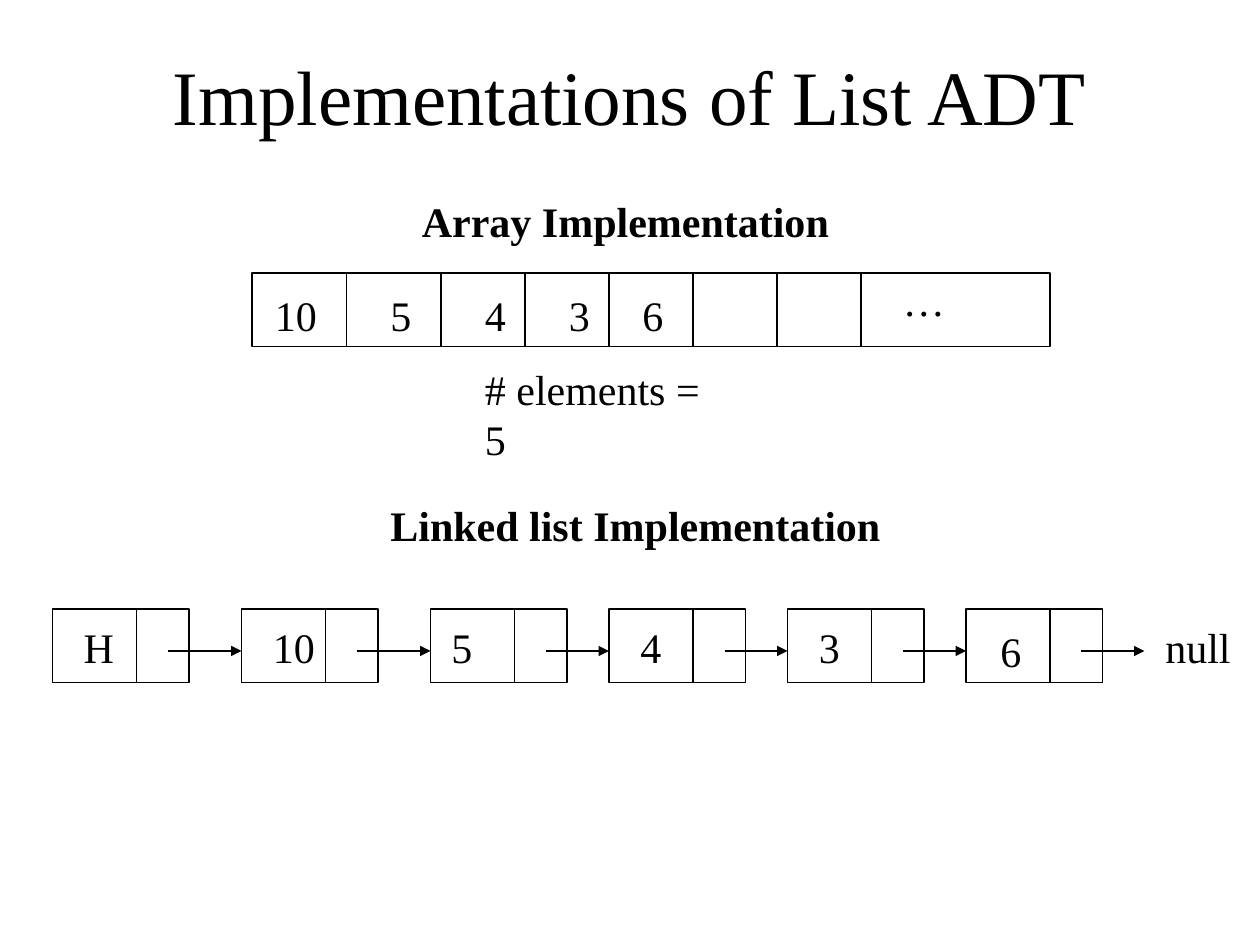
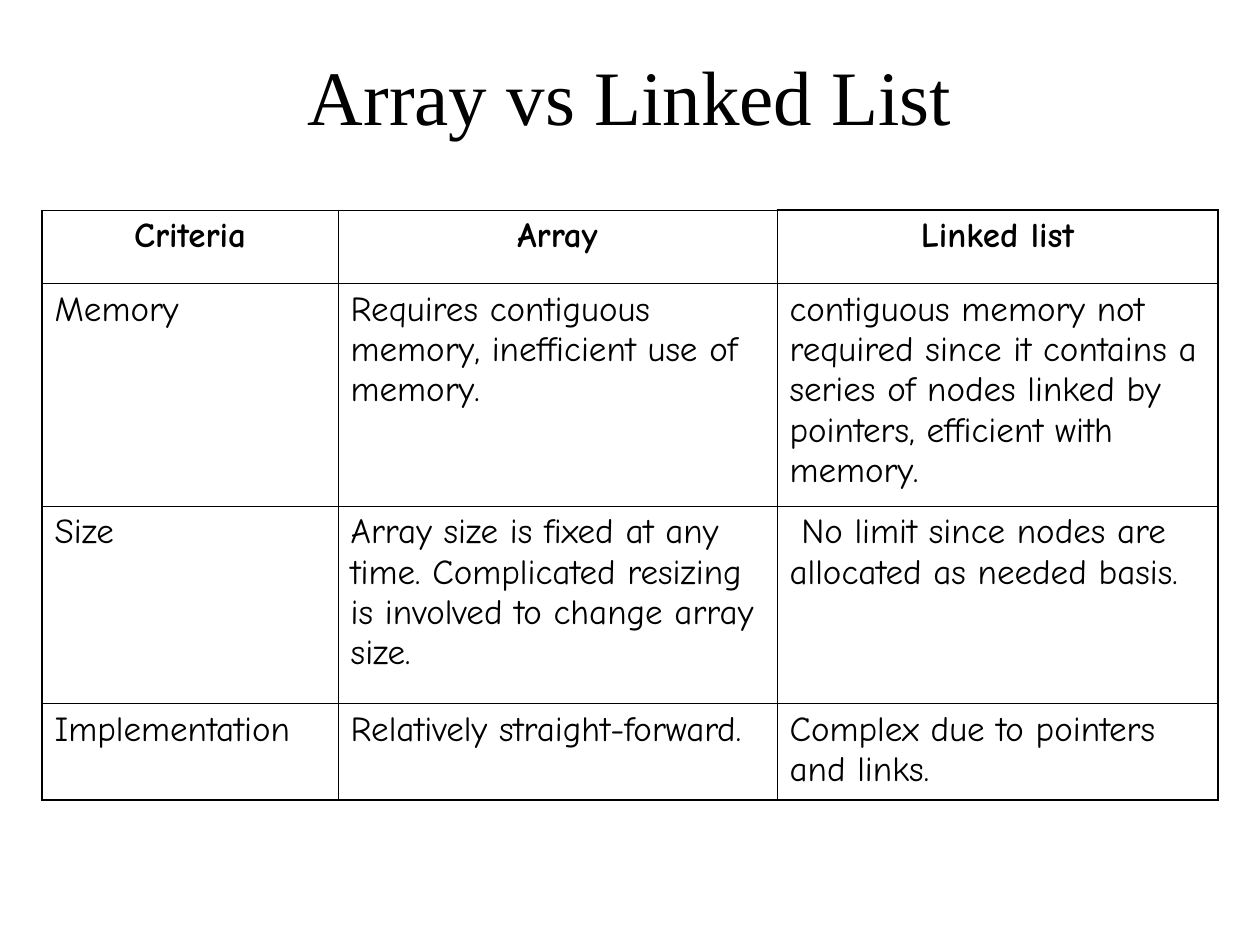
from lxml import etree
from pptx import Presentation
from pptx.dml.color import RGBColor
from pptx.enum.shapes import MSO_CONNECTOR, MSO_SHAPE
from pptx.enum.text import MSO_ANCHOR, MSO_AUTO_SIZE, PP_ALIGN
from pptx.oxml.ns import qn
from pptx.util import Inches, Pt

BLACK = RGBColor(0, 0, 0)
SERIF, COMIC = "Times New Roman", "Comic Neue"
LEFT, CENTER = PP_ALIGN.LEFT, PP_ALIGN.CENTER
MIDDLE, GROW = MSO_ANCHOR.MIDDLE, MSO_AUTO_SIZE.SHAPE_TO_FIT_TEXT
RECT, STRAIGHT = MSO_SHAPE.RECTANGLE, MSO_CONNECTOR.STRAIGHT

prs = Presentation()
prs.slide_width, prs.slide_height = Inches(10), Inches(7.5)
U = prs.slide_width // 120  # grid unit: 120 columns by 90 rows


def write(tf, text, size=24, font=SERIF, bold=False, align=LEFT, before=0, tabs=()):
    p = tf.paragraphs[0]
    p.alignment = align
    if before:
        p.space_before = Pt(before)
    if tabs:
        tab_list = etree.SubElement(p._p.get_or_add_pPr(), qn("a:tabLst"))
        for stop in tabs:
            etree.SubElement(tab_list, qn("a:tab"), pos=str(int(stop * U)), algn="l")
    r = p.add_run()
    r.text = text
    r.font.size, r.font.name, r.font.bold = Pt(size), font, bold
    r.font.color.rgb = BLACK


def add_line(shapes, x1, y1, x2, y2, arrow=False):
    line = shapes.add_connector(STRAIGHT, *[int(v * U) for v in (x1, y1, x2, y2)])
    line.line.color.rgb, line.line.width = BLACK, Pt(0.75)
    etree.SubElement(line._element.spPr, qn("a:effectLst"))
    if arrow:
        etree.SubElement(line.line._get_or_add_ln(), qn("a:tailEnd"), type="triangle")


# Slides and their titles
slides = []
for title in ("Implementations of List ADT", "Array vs Linked List"):
    s = prs.slides.add_slide(prs.slide_layouts[5])
    sp = s.shapes.title
    sp.left, sp.top, sp.width, sp.height = 9 * U, 3 * U, 102 * U, 12 * U
    sp.text_frame.vertical_anchor = MIDDLE
    write(sp.text_frame, title, size=44, align=CENTER)
    slides.append(s)
s, table_slide = slides

# Array cells and list nodes: left, top, width, dividers
ARRAY_TOP, NODE_TOP, BOX_H, NODE_W = 26, 58, 7, 13
node_lefts = [5, 23, 41, 58, 75, 92]
array = (24, ARRAY_TOP, 76, [33, 42, 50, 58, 66, 74, 82])
nodes = [(x, NODE_TOP, NODE_W, [x + 8]) for x in node_lefts]
for left, top, width, dividers in [array] + nodes:
    shapes = s.shapes if top == ARRAY_TOP else s.shapes.add_group_shape().shapes
    box = shapes.add_shape(RECT, left * U, top * U, width * U, BOX_H * U)
    box.shadow.inherit = False
    box.fill.background()
    box.line.color.rgb, box.line.width = BLACK, Pt(0.75)
    for x in dividers:
        add_line(shapes, x, top, x, top + BOX_H)

# Pointers between nodes
for left, target in zip(node_lefts, node_lefts[1:] + [109]):
    add_line(s.shapes, left + 11, NODE_TOP + 4, target, NODE_TOP + 4, arrow=True)

# Labels: text, left, top, width, bold
labels = [
    ("Array Implementation", 39, 18, 41.2, True),
    ("…", 84.8, 25.6, 6.4, False),
    ("# elements = 5", 45, 34, 25.8, False),
    ("Linked list Implementation", 36, 47, 49.1, True),
    ("null", 109.8, 58.6, 8.6, False),
]
node_texts = [("H", 1.8, 5.3), ("10", 1.8, 6.4), ("5", 0.8, 4.3),
              ("4", 1.8, 4.3), ("3", 1.8, 4.3), ("6", 2.1, 4.3)]
for left, (text, indent, width) in zip(node_lefts, node_texts):
    labels.append((text, left + indent, 59 if text == "6" else 58.6, width, False))
for text, left, top, width, bold in labels:
    sp = s.shapes.add_textbox(int(left * U), int(top * U), int(width * U), 6 * U)
    sp.text_frame.word_wrap = False
    sp.text_frame.auto_size = GROW
    write(sp.text_frame, text, bold=bold)

# Array values on tab stops
sp = s.shapes.add_textbox(25 * U, 27 * U, 42 * U, 6 * U)
sp.text_frame.word_wrap = True
write(sp.text_frame, "\t".join(["10", "5", "4", "3", "6"]), tabs=(11, 20, 28, 35))

# Comparison table
rows = [
    ("Criteria", "Array", "Linked list"),
    ("Memory", "Requires contiguous memory, inefficient use of memory.",
     "contiguous memory not required since it contains a series of nodes "
     "linked by pointers, efficient with memory."),
    ("Size", "Array size is fixed at any time. Complicated resizing is involved "
     "to change array size.",
     " No limit since nodes are allocated as needed basis."),
    ("Implementation", "Relatively straight-forward.",
     "Complex due to pointers and links."),
]
col_widths, row_heights = (28.2, 41.8, 42), (7, 21.2, 18.8, 9.2)
frame = table_slide.shapes.add_table(len(rows), 3, 4 * U, 20 * U, 112 * U, int(56.2 * U))
table = frame.table
table.first_row = table.horz_banding = False
for column, width in zip(table.columns, col_widths):
    column.width = int(width * U)
for row, height in zip(table.rows, row_heights):
    row.height = int(height * U)

for i, row in enumerate(rows):
    for j, text in enumerate(row):
        cell = table.cell(i, j)
        cell.fill.background()
        header = i == 0
        write(cell.text_frame, text, size=20, font=COMIC, bold=header,
              align=CENTER if header else LEFT, before=5)
        # Heavy outer edges, thin inner ones
        heavy = {"lnL": j == 0, "lnR": j == 2, "lnT": header and j == 2,
                 "lnB": i == len(rows) - 1}
        tcPr = cell._tc.get_or_add_tcPr()
        for k, (edge, is_heavy) in enumerate(heavy.items()):
            ln = etree.Element(qn("a:" + edge), w=str(Pt(1.08 if is_heavy else 0.45)))
            fill = etree.SubElement(ln, qn("a:solidFill"))
            etree.SubElement(fill, qn("a:srgbClr"), val=str(BLACK))
            tcPr.insert(k, ln)

prs.save("out.pptx")
